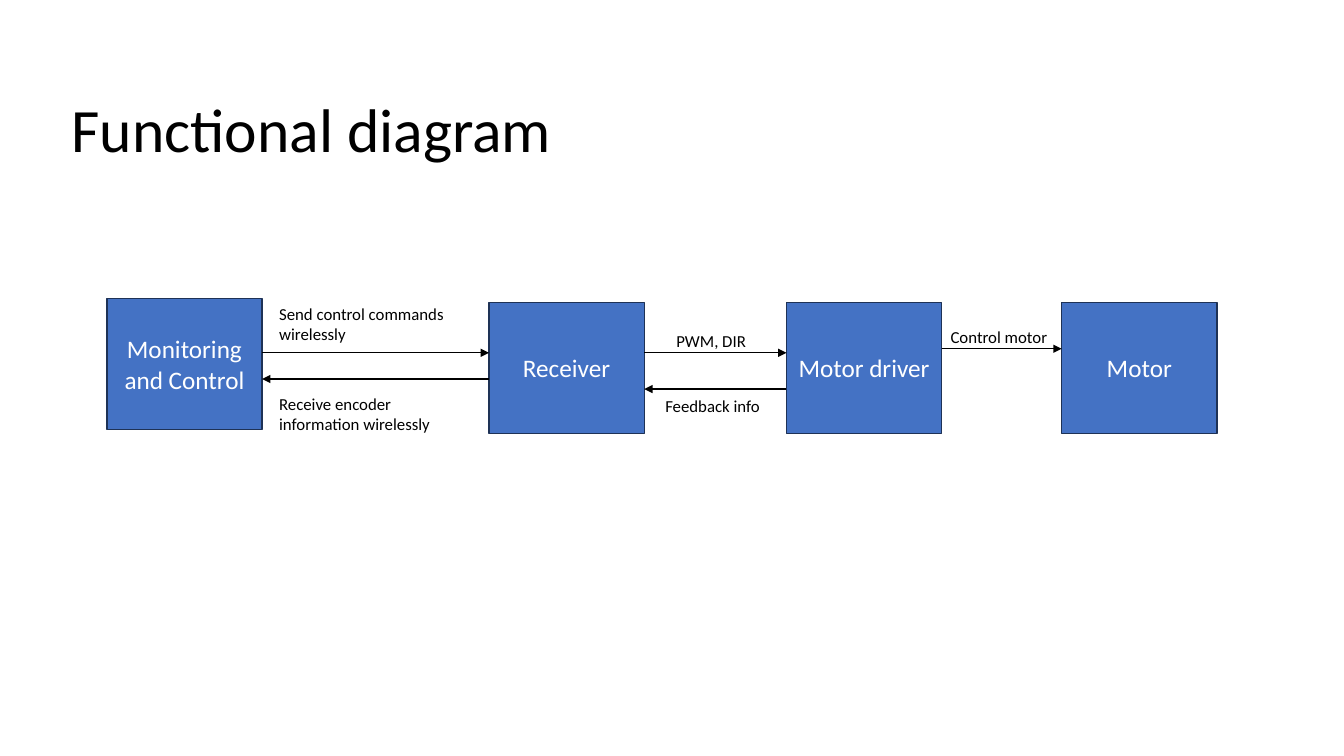
from lxml import etree
from pptx import Presentation
from pptx.dml.color import RGBColor
from pptx.enum.shapes import MSO_CONNECTOR, MSO_SHAPE
from pptx.enum.text import MSO_ANCHOR, PP_ALIGN
from pptx.oxml.ns import qn
from pptx.util import Inches, Pt

RECTANGLE, STRAIGHT = MSO_SHAPE.RECTANGLE, MSO_CONNECTOR.STRAIGHT
LEFT, CENTER = PP_ALIGN.LEFT, PP_ALIGN.CENTER
TOP, MIDDLE = MSO_ANCHOR.TOP, MSO_ANCHOR.MIDDLE

# Content: lengths in inches
TITLE = "Functional diagram"
TITLE_BOX = (0.61, 0.91, 8.06, 0.81)
BLOCK_WIDTH, BLOCK_HEIGHT = 1.54, 1.3
BLOCKS = {  # name: (left, top)
    "Monitoring and Control": (1.06, 2.96),
    "Receiver": (4.85, 3),
    "Motor driver": (7.8, 3),
    "Motor": (10.53, 3),
}
SIGNALS = [  # source, target, arrow height, label, label box
    ("Monitoring and Control", "Receiver", 3.5,
     "Send control commands wirelessly", (2.67, 2.96, 2.12, 0.5)),
    ("Receiver", "Monitoring and Control", 3.76,
     "Receive encoder information wirelessly", (2.67, 3.86, 2.12, 0.5)),
    ("Receiver", "Motor driver", 3.5, "PWM, DIR", (6.61, 3.23, 1.33, 0.3)),
    ("Motor driver", "Receiver", 3.86, "Feedback info", (6.5, 3.88, 1.33, 0.3)),
    ("Motor driver", "Motor", 3.46, "Control motor", (9.33, 3.19, 1.23, 0.3)),
]

THEME = {
    "font": "Calibri",
    "block": RGBColor(0x44, 0x72, 0xC4),
    "outline": RGBColor(0x1E, 0x32, 0x56),
    "ink": RGBColor(0, 0, 0),
    "light": RGBColor(255, 255, 255),
    "line": Pt(1),
    "title": {"size": Pt(44), "color": "ink", "align": LEFT, "anchor": MIDDLE},
    "name": {"size": Pt(18), "color": "light", "align": CENTER, "anchor": MIDDLE},
    "label": {"size": Pt(12), "color": "ink", "align": LEFT, "anchor": TOP},
}


def write(shape, text, style_name):
    """Put text into a shape in one of the theme's text styles."""
    style = THEME[style_name]
    frame = shape.text_frame
    frame.word_wrap, frame.vertical_anchor = True, style["anchor"]
    paragraph = frame.paragraphs[0]
    paragraph.alignment = style["align"]
    run = paragraph.add_run()
    run.text = text
    for name, value in {"name": THEME["font"], "size": style["size"]}.items():
        setattr(run.font, name, value)
    run.font.color.rgb = THEME[style["color"]]
    return paragraph


def add_block(slide, name, left, top):
    box = map(Inches, (left, top, BLOCK_WIDTH, BLOCK_HEIGHT))
    block = slide.shapes.add_shape(RECTANGLE, *box)
    block.shadow.inherit = False
    block.fill.solid()
    block.fill.fore_color.rgb = THEME["block"]
    block.line.color.rgb = THEME["outline"]
    block.line.width = THEME["line"]
    write(block, name, "name")


def add_signal(slide, source, target, height, label, label_box):
    # The arrow joins the facing sides of its two blocks
    start, end = BLOCKS[source][0], BLOCKS[target][0]
    if start < end:
        start += BLOCK_WIDTH
    else:
        end += BLOCK_WIDTH
    ends = map(Inches, (start, height, end, height))
    arrow = slide.shapes.add_connector(STRAIGHT, *ends)
    arrow.line.color.rgb = THEME["ink"]
    arrow.line.width = THEME["line"]
    etree.SubElement(arrow.line._get_or_add_ln(), qn("a:tailEnd"), type="triangle")
    etree.SubElement(arrow._element.spPr, qn("a:effectLst"))
    write(slide.shapes.add_textbox(*map(Inches, label_box)), label, "label")


def main():
    presentation = Presentation()
    presentation.slide_width = Inches(13.33)
    presentation.slide_height = Inches(7.5)
    slide = presentation.slides.add_slide(presentation.slide_layouts[5])

    # Title
    title = slide.shapes.title
    for side, value in zip(("left", "top", "width", "height"), TITLE_BOX):
        setattr(title, side, Inches(value))
    write(title, TITLE, "title").line_spacing = 0.9

    # Blocks and the signals between them
    for name, (left, top) in BLOCKS.items():
        add_block(slide, name, left, top)
    for signal in SIGNALS:
        add_signal(slide, *signal)

    presentation.save("out.pptx")


if __name__ == "__main__":
    main()
